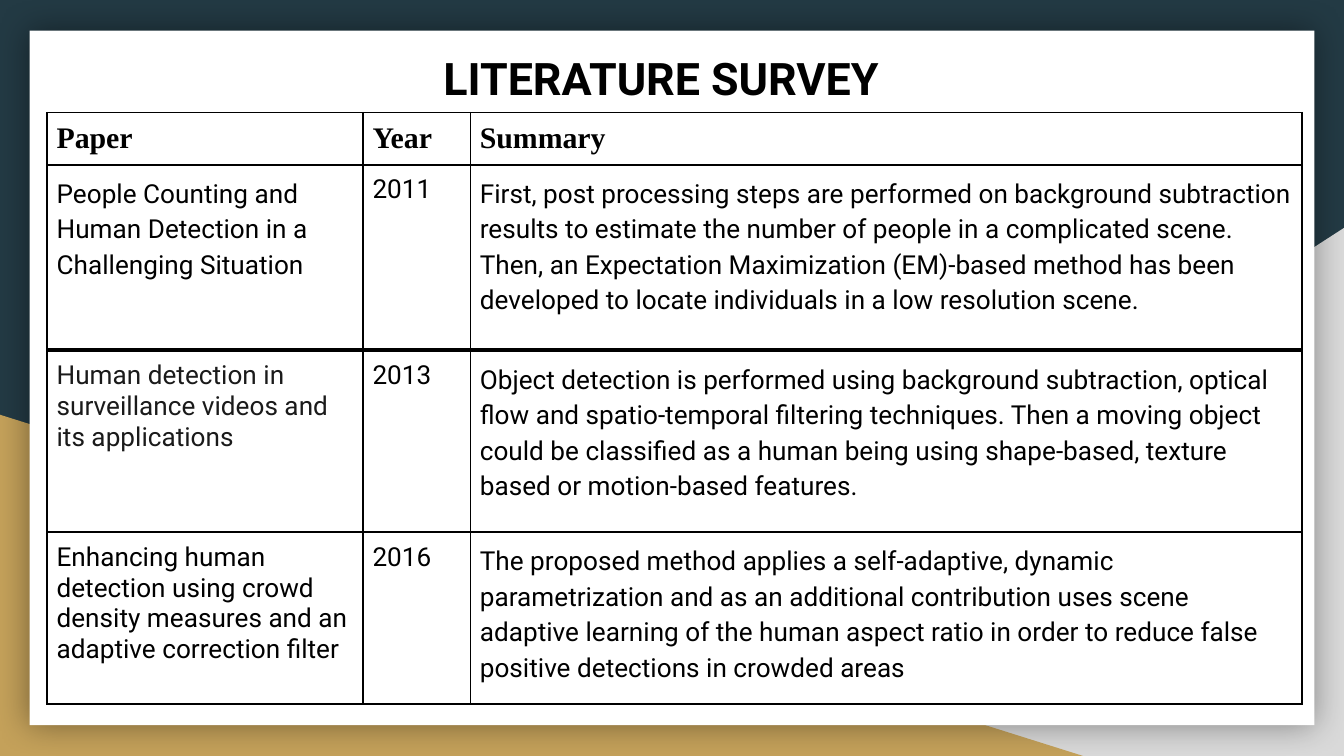
from dataclasses import dataclass

from lxml.etree import SubElement
from pptx import Presentation
from pptx.dml.color import RGBColor
from pptx.enum.shapes import MSO_SHAPE
from pptx.oxml import parse_xml
from pptx.oxml.ns import nsdecls, qn
from pptx.util import Cm, Pt


@dataclass(frozen=True)
class Theme:
    background: str = "233A44"
    grey: str = "D9D9D9"
    gold: str = "C4A15A"
    panel: str = "FFFFFF"
    text: str = "000000"
    soft_text: str = "1A1A1A"
    border: str = "000000"
    body_font: str = "Roboto"
    header_font: str = "Times New Roman"
    title_size: int = 24
    header_size: int = 16
    body_size: int = 14


THEME = Theme()
TABLE_LEFT = 0.89
COLUMN_WIDTHS = (5.97, 2.03, 15.72)
CELL_INSET = 0.18
LOOSE = 1.15

HEADER = {"size": THEME.header_size, "font": THEME.header_font, "bold": True}
BODY = {}
SPACED = {"line_spacing": LOOSE}
SOFT = {"color": THEME.soft_text}

FIRST_ROWS = [
    [("Paper", HEADER), ("Year", HEADER), ("Summary", HEADER)],
    [
        ("People Counting and Human Detection in a Challenging Situation", SPACED),
        ("2011", BODY),
        ("First, post processing steps are performed on background subtraction "
         "results to estimate the number of people in a complicated scene. Then, "
         "an Expectation Maximization (EM)-based method has been developed to "
         "locate individuals in a low resolution scene.", SPACED),
    ],
]
SECOND_ROWS = [
    [
        ("Human detection in surveillance videos and its applications", SOFT),
        ("2013", BODY),
        ("Object detection is performed using background subtraction, optical "
         "flow and spatio-temporal filtering techniques. Then a moving object "
         "could be classified as a human being using shape-based, texture based "
         "or motion-based features.", SPACED),
    ],
    [
        ("Enhancing human detection using crowd density measures and an adaptive "
         "correction filter", BODY),
        ("2016", BODY),
        ("The proposed method applies a self-adaptive, dynamic parametrization "
         "and as an additional contribution uses scene adaptive learning of the "
         "human aspect ratio in order to reduce false positive detections in "
         "crowded areas", SPACED),
    ],
]


def write_text(frame, text, *, size=THEME.body_size, font=THEME.body_font,
               color=THEME.text, bold=False, line_spacing=None, space_after=None):
    frame.word_wrap = True
    paragraph = frame.paragraphs[0]
    if line_spacing is not None:
        paragraph.line_spacing = line_spacing
    if space_after is not None:
        paragraph.space_after = Pt(space_after)
    run = paragraph.add_run()
    run.text = text
    run.font.size = Pt(size)
    run.font.name = font
    run.font.bold = bold
    run.font.color.rgb = RGBColor.from_string(color)


def add_block(slide, kind, left, top, width, height, color):
    shape = slide.shapes.add_shape(kind, Cm(left), Cm(top), Cm(width), Cm(height))
    shape.shadow.inherit = False
    shape.fill.solid()
    shape.fill.fore_color.rgb = RGBColor.from_string(color)
    shape.line.fill.background()
    return shape


def add_glow_shadow(shape, blur, opacity):
    effects = shape._element.spPr.find(qn("a:effectLst"))
    shadow = SubElement(effects, qn("a:outerShdw"), blurRad=str(Pt(blur)),
                        dist="0", dir="0", algn="ctr", rotWithShape="0")
    color = SubElement(shadow, qn("a:srgbClr"), val=THEME.border)
    SubElement(color, qn("a:alpha"), val=str(opacity * 1000))


def set_borders(cell):
    properties = cell._tc.get_or_add_tcPr()
    for index, side in enumerate(("lnL", "lnR", "lnT", "lnB")):
        properties.insert(index, parse_xml(
            f'<a:{side} {nsdecls("a")} w="{Pt(1)}"><a:solidFill>'
            f'<a:srgbClr val="{THEME.border}"/></a:solidFill></a:{side}>'))


def add_survey_table(slide, top, row_heights, rows):
    frame = slide.shapes.add_table(
        len(rows), len(COLUMN_WIDTHS), Cm(TABLE_LEFT), Cm(top),
        Cm(sum(COLUMN_WIDTHS)), Cm(sum(row_heights)))
    table = frame.table
    table.first_row = False
    table.horz_banding = False
    for column, width in zip(table.columns, COLUMN_WIDTHS):
        column.width = Cm(width)
    for row, height, entries in zip(table.rows, row_heights, rows):
        row.height = Cm(height)
        for cell, (text, style) in zip(row.cells, entries):
            cell.margin_left = cell.margin_right = Cm(CELL_INSET)
            cell.margin_top = cell.margin_bottom = Cm(CELL_INSET)
            cell.fill.background()
            set_borders(cell)
            write_text(cell.text_frame, text, **style)


def add_title(slide, text):
    box = slide.shapes.add_textbox(Cm(8.13), Cm(0.56), Cm(9.14), Cm(1.57))
    frame = box.text_frame
    frame.margin_left = frame.margin_right = Cm(0.25)
    frame.margin_top = frame.margin_bottom = Cm(0.25)
    write_text(frame, text, size=THEME.title_size, bold=True,
               line_spacing=LOOSE, space_after=16)


def add_backdrop(slide):
    fill = slide.background.fill
    fill.solid()
    fill.fore_color.rgb = RGBColor.from_string(THEME.background)
    triangle = MSO_SHAPE.RIGHT_TRIANGLE
    grey_corner = add_block(slide, triangle, 9.96, 4.31, 15.44, 9.98, THEME.grey)
    grey_corner._element.spPr.xfrm.set("flipH", "1")
    add_block(slide, triangle, 0, 7.84, 20.47, 6.45, THEME.gold)
    panel = add_block(slide, MSO_SHAPE.RECTANGLE, 0.56, 0.58, 24.28, 13.13, THEME.panel)
    add_glow_shadow(panel, blur=18, opacity=40)


def main():
    presentation = Presentation()
    presentation.slide_width = Cm(25.4)
    presentation.slide_height = Cm(14.29)
    slide = presentation.slides.add_slide(presentation.slide_layouts[6])
    add_backdrop(slide)
    add_survey_table(slide, 2.13, (0.95, 3.48), FIRST_ROWS)
    add_survey_table(slide, 6.63, (3.43, 3.25), SECOND_ROWS)
    add_title(slide, "LITERATURE SURVEY")
    presentation.save("out.pptx")


if __name__ == "__main__":
    main()
